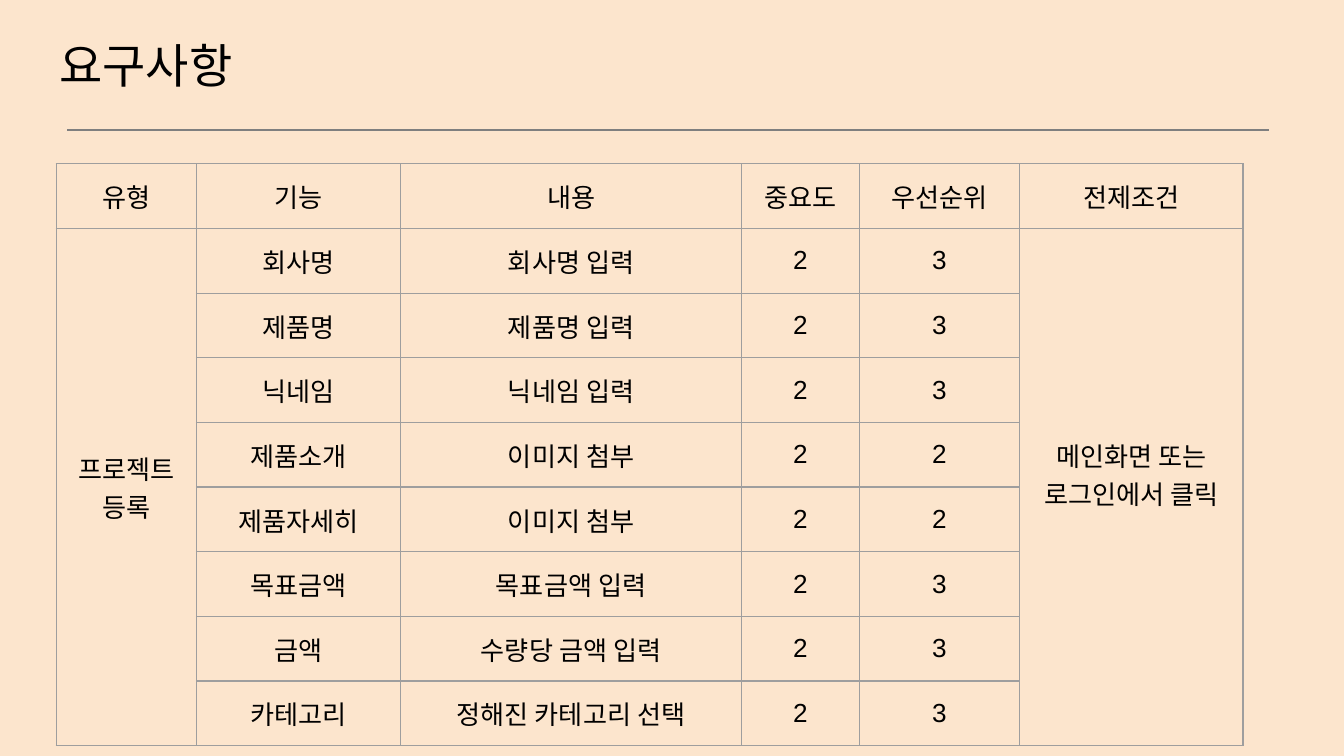
from dataclasses import dataclass

import pptx
import pptx.dml.color
import pptx.enum.shapes
import pptx.enum.text
import pptx.oxml
import pptx.oxml.ns
import pptx.util

PX = 5715  # EMU per px, 160 px to the inch
FONT = "Arial"
COLORS = {"background": "FCE5CD", "text": "000000", "rule": "7F7F7F", "border": "9E9E9E"}


@dataclass(frozen=True)
class Column:
    heading: str
    width: int


@dataclass(frozen=True)
class Requirement:
    feature: str
    content: str
    importance: int
    priority: int


COLUMNS = [
    Column("유형", 167),
    Column("기능", 243),
    Column("내용", 406),
    Column("중요도", 140),
    Column("우선순위", 191),
    Column("전제조건", 266),
]
REQUIREMENTS = [
    Requirement("회사명", "회사명 입력", 2, 3),
    Requirement("제품명", "제품명 입력", 2, 3),
    Requirement("닉네임", "닉네임 입력", 2, 3),
    Requirement("제품소개", "이미지 첨부", 2, 2),
    Requirement("제품자세히", "이미지 첨부", 2, 2),
    Requirement("목표금액", "목표금액 입력", 2, 3),
    Requirement("금액", "수량당 금액 입력", 2, 3),
    Requirement("카테고리", "정해진 카테고리 선택", 2, 3),
]
CATEGORY = "프로젝트 등록"
PRECONDITION = "메인화면 또는\n로그인에서 클릭"
ROW_HEIGHT = 77
MARGIN = 16


def px(length: int) -> pptx.util.Emu:
    return pptx.util.Emu(length * PX)


def color(name: str) -> pptx.dml.color.RGBColor:
    return pptx.dml.color.RGBColor.from_string(COLORS[name])


def set_font(paragraph, size: float) -> None:
    paragraph.font.name = FONT
    paragraph.font.size = pptx.util.Pt(size)
    paragraph.font.color.rgb = color("text")


def set_margins(holder) -> None:
    holder.margin_left = holder.margin_right = px(MARGIN)
    holder.margin_top = holder.margin_bottom = px(MARGIN)


def add_title(slide, text: str) -> None:
    frame = slide.shapes.add_textbox(px(55), px(27), px(1491), px(101)).text_frame
    frame.word_wrap = True
    set_margins(frame)
    paragraph = frame.paragraphs[0]
    paragraph.text = text
    set_font(paragraph, 25.2)


def add_rule(slide) -> None:
    rule = slide.shapes.add_connector(
        pptx.enum.shapes.MSO_CONNECTOR.STRAIGHT, px(80), px(155), px(1511), px(155))
    rule.line.color.rgb = color("rule")
    rule.line.width = pptx.util.Pt(0.75)
    properties = rule._element.spPr
    properties.append(properties.makeelement(pptx.oxml.ns.qn("a:effectLst"), {}))


def style_cell(cell) -> None:
    cell.vertical_anchor = pptx.enum.text.MSO_ANCHOR.MIDDLE
    set_margins(cell)
    properties = cell._tc.get_or_add_tcPr()
    for side in ("lnL", "lnR", "lnT", "lnB"):
        properties.append(pptx.oxml.parse_xml(
            f'<a:{side} {pptx.oxml.ns.nsdecls("a")} w="9525"><a:solidFill>'
            f'<a:srgbClr val="{COLORS["border"]}"/></a:solidFill></a:{side}>'))
    cell.fill.background()
    for paragraph in cell.text_frame.paragraphs:
        paragraph.alignment = pptx.enum.text.PP_ALIGN.CENTER
        set_font(paragraph, 14)


def add_requirements_table(slide) -> None:
    row_count = len(REQUIREMENTS) + 1
    width = sum(column.width for column in COLUMNS)
    table = slide.shapes.add_table(
        row_count, len(COLUMNS), px(67), px(195), px(width), px(row_count * ROW_HEIGHT)).table
    table.first_row = table.horz_banding = False
    for row in table.rows:
        row.height = px(ROW_HEIGHT)

    # Headings and requirement rows
    for index, column in enumerate(COLUMNS):
        table.columns[index].width = px(column.width)
        table.cell(0, index).text = column.heading
    for row_index, item in enumerate(REQUIREMENTS, start=1):
        values = (item.feature, item.content, item.importance, item.priority)
        for column_index, value in enumerate(values, start=1):
            table.cell(row_index, column_index).text = str(value)

    # Outer columns span every requirement
    last = len(COLUMNS) - 1
    for column_index, text in ((0, CATEGORY), (last, PRECONDITION)):
        table.cell(1, column_index).merge(table.cell(row_count - 1, column_index))
        table.cell(1, column_index).text = text

    for cell in table.iter_cells():
        style_cell(cell)
    table.cell(1, last).margin_bottom = px(3 * MARGIN)  # sits slightly above the middle


def main() -> None:
    presentation = pptx.Presentation()
    presentation.slide_width = px(1600)
    presentation.slide_height = px(900)
    slide = presentation.slides.add_slide(presentation.slide_layouts[6])
    slide.background.fill.solid()
    slide.background.fill.fore_color.rgb = color("background")

    add_rule(slide)
    add_title(slide, "요구사항")
    add_requirements_table(slide)
    presentation.save("out.pptx")


if __name__ == "__main__":
    main()
